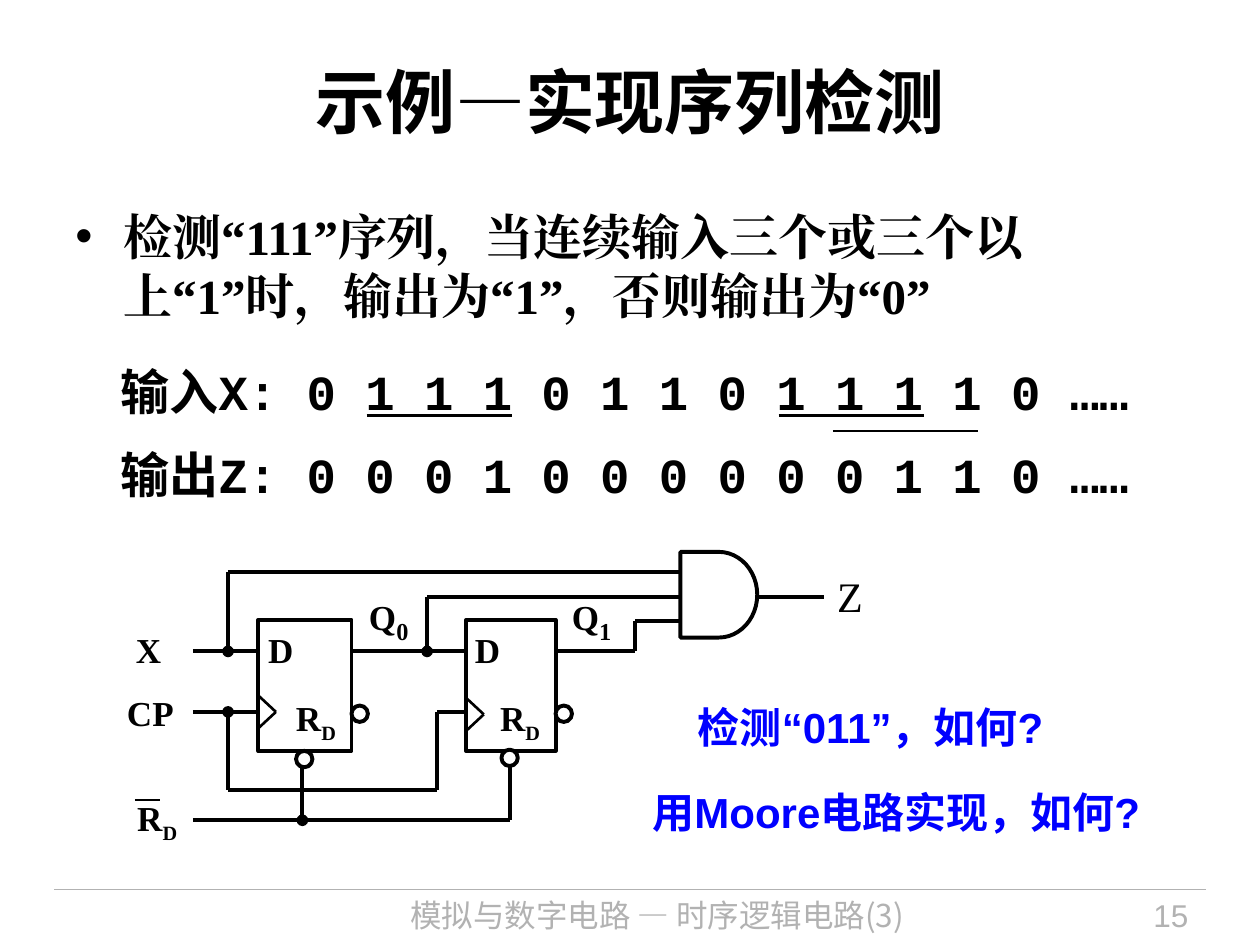
from pptx import Presentation
from pptx.dml.color import RGBColor
from pptx.enum.shapes import MSO_CONNECTOR, MSO_SHAPE
from pptx.enum.text import MSO_ANCHOR, PP_ALIGN
from pptx.oxml.ns import qn
from pptx.util import Emu, Pt
from lxml import etree

STRAIGHT = MSO_CONNECTOR.STRAIGHT
RECT, OVAL, GATE = MSO_SHAPE.RECTANGLE, MSO_SHAPE.OVAL, MSO_SHAPE.FLOWCHART_DELAY
LEFT, CENTER, RIGHT = PP_ALIGN.LEFT, PP_ALIGN.CENTER, PP_ALIGN.RIGHT
TOP, MIDDLE = MSO_ANCHOR.TOP, MSO_ANCHOR.MIDDLE
PX = 9144
BLACK, WHITE, GRAY, BLUE = "000000", "FFFFFF", "B2B2B2", "0000FF"
CJK, SERIF, SANS, MONO = "Noto Sans CJK SC", "Times New Roman", "Arial", "Courier New"
THIN, WIRE = 1.5, 2.25


def px(n):
    return Emu(n * PX)


def color(hex_value):
    return RGBColor.from_string(hex_value)


class Deck:
    """Holds the drawing style and the current slide."""

    def __init__(self):
        self.prs = Presentation()
        self.prs.slide_width, self.prs.slide_height = px(1000), px(750)
        self.s = self.prs.slides.add_slide(self.prs.slide_layouts[6])

    def style_run(self, r, font, size, ink, bold):
        r.font.name, r.font.size, r.font.bold = font, Pt(size), bold
        r.font.color.rgb = color(ink)
        ea = etree.SubElement(r._r.get_or_add_rPr(), qn("a:ea"))
        ea.set("typeface", font)

    def text(self, box, lines, font, size, ink=BLACK, bold=True, align=LEFT,
             anchor=TOP, wrap=True, spacing=None, gap=0, inset=True):
        tf = self.s.shapes.add_textbox(*map(px, box)).text_frame
        tf.text = lines
        tf.word_wrap, tf.vertical_anchor = wrap, anchor
        if not inset:
            tf.margin_left = tf.margin_right = tf.margin_top = tf.margin_bottom = 0
        for i, p in enumerate(tf.paragraphs):
            p.alignment = align
            if spacing:
                p.line_spacing = spacing
            if i:
                p.space_before = Pt(gap)
            for r in p.runs:
                self.style_run(r, font, size, ink, bold)
        return tf

    def bullet(self, box, line, font, size):
        p = self.text(box, line, font, size).paragraphs[0]
        p.space_after = Pt(7)
        pPr = p._p.get_or_add_pPr()
        pPr.set("marL", str(px(38)))
        pPr.set("indent", str(px(-38)))
        etree.SubElement(pPr, qn("a:buFont")).set("typeface", SANS)
        etree.SubElement(pPr, qn("a:buChar")).set("char", "•")

    def label(self, box, name, sub="", sub_size=20):
        tf = self.text(box, name, SERIF, 20, wrap=False)
        if sub:
            r = tf.paragraphs[0].add_run()
            r.text = sub
            self.style_run(r, SERIF, sub_size, BLACK, True)
            r.font._element.set("baseline", "-25000")

    def line(self, x1, y1, x2, y2, width=WIRE, ink=BLACK, dot=None):
        c = self.s.shapes.add_connector(STRAIGHT, *map(px, (x1, y1, x2, y2)))
        c.line.color.rgb, c.line.width = color(ink), Pt(width)
        if dot:
            etree.SubElement(c.line._get_or_add_ln(), qn(dot)).set("type", "oval")
        etree.SubElement(c._element.spPr, qn("a:effectLst"))

    def shape(self, kind, box, fill=None):
        sp = self.s.shapes.add_shape(kind, *map(px, box))
        sp.shadow.inherit = False
        if fill:
            sp.fill.solid()
            sp.fill.fore_color.rgb = color(fill)
        else:
            sp.fill.background()
        sp.line.color.rgb, sp.line.width = color(BLACK), Pt(WIRE)

    def flip_flop(self, x, width, clock_y, d_x, reset_x, bubble):
        self.shape(RECT, (x, 492, width, 104))
        self.line(x, clock_y - 13, x + 14, clock_y, THIN)
        self.line(x + 14, clock_y, x, clock_y + 13, THIN)
        self.label((d_x, 494, 40, 44), "D")
        self.label((reset_x, 548, 52, 48), "R", "D")
        for left, top in ((x + width, 560), bubble):
            self.shape(OVAL, (left, top, 13, 13), WHITE)


def main():
    d = Deck()
    d.line(43, 706, 957, 706, 0.75, GRAY)
    d.text((240, 706, 563, 44), "模拟与数字电路 — 时序逻辑电路(3)", CJK, 18, GRAY, False, CENTER)
    d.text((820, 706, 133, 44), "15", SANS, 18, GRAY, False, RIGHT)
    d.text((50, 17, 900, 125), "示例—实现序列检测", CJK, 40, align=CENTER, anchor=MIDDLE)
    d.bullet((50, 159, 900, 122),
             "检测“111”序列，当连续输入三个或三个以上“1”时，输出为“1”，否则输出为“0”", SERIF, 28)
    d.text((86, 273, 855, 132),
           "输入X: 0 1 1 1 0 1 1 0 1 1 1 1 0 ……\n输出Z: 0 0 0 1 0 0 0 0 0 0 1 1 0 ……",
           MONO, 28, spacing=1.2, gap=7)
    for x, y in ((291, 330), (618, 330), (661, 342)):
        d.line(x, y, x + 115, y, THIN)
    d.text((508, 619, 400, 90), "用Moore电路实现，如何?", SANS, 24, BLUE)
    d.text((544, 552, 335, 50), "检测“011”，如何?", SANS, 24, BLUE)

    d.flip_flop(205, 74, 565, 203, 225, (235, 596))
    d.flip_flop(370, 71, 567, 367, 387, (398, 595))
    d.shape(GATE, (540, 438, 61, 68))

    x_in, clock, reset = 517, 565, 651
    tap, q0, clock_2, q1 = 181, 339, 347, 504
    wires = [
        (153, x_in, 205, x_in), (279, x_in, 370, x_in), (441, x_in, q1, x_in),
        (153, clock, 205, clock), (clock_2, clock, 370, clock),
        (tap, 627, clock_2, 627), (clock_2, clock, clock_2, 627),
        (tap, 454, 540, 454), (q0, 474, 540, 474), (q1, 493, 540, 493),
        (q1, 493, q1, x_in), (601, 474, 654, 474),
        (153, reset, 405, reset), (405, 607, 405, reset),
    ]
    for wire in wires:
        d.line(*wire)
    d.line(tap, clock, tap, 627, dot="a:headEnd")
    for x, top, bottom in ((tap, 454, x_in), (q0, 474, x_in), (240, 607, reset)):
        d.line(x, top, x, bottom, dot="a:tailEnd")

    d.label((98, 494, 40, 44), "X")
    d.label((91, 544, 57, 44), "CP")
    d.label((99, 627, 52, 48), "R", "D")
    d.line(107, 635, 127, 635, THIN)
    d.label((283, 462, 51, 56), "Q", "0", 24)
    d.label((444, 462, 51, 56), "Q", "1", 24)
    d.text((657, 457, 35, 36), "Z", SERIF, 24, bold=False, align=CENTER,
           spacing=0.9, inset=False)
    d.prs.save("out.pptx")


if __name__ == "__main__":
    main()
